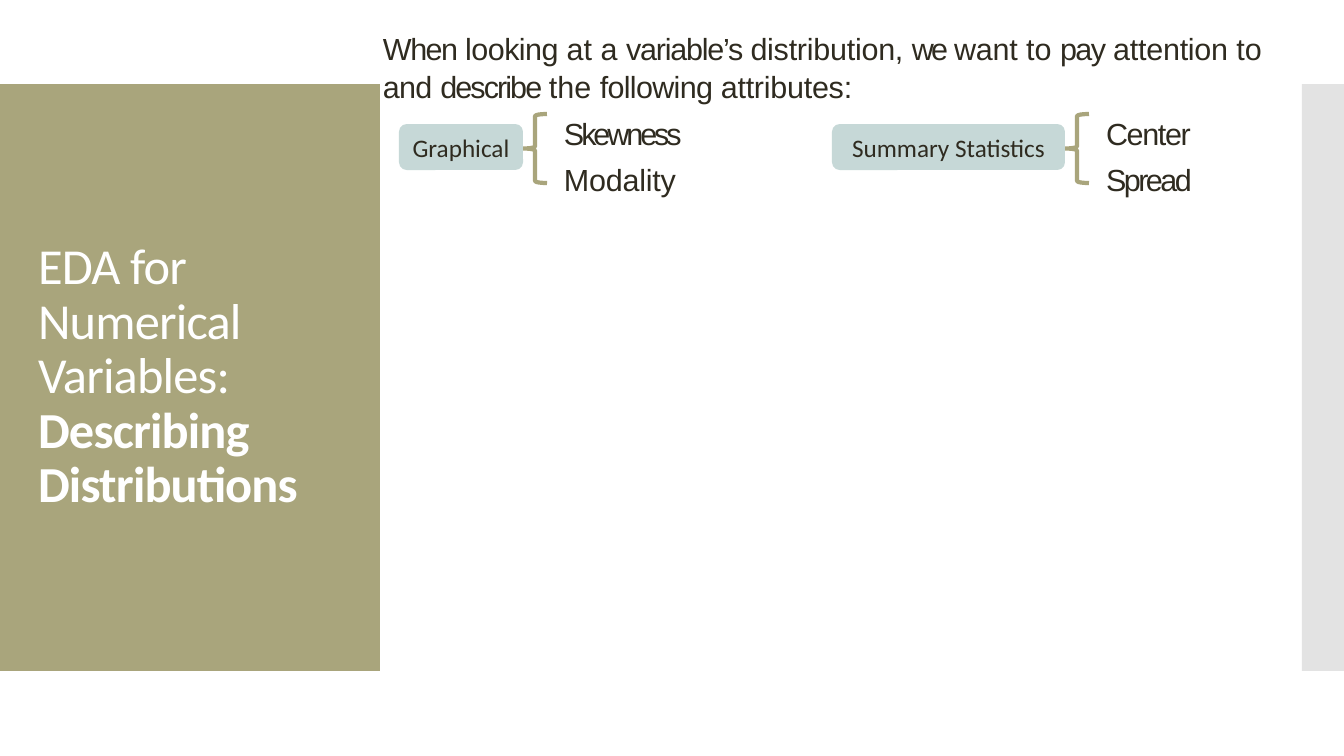
from pptx import Presentation
from pptx import util as u
from pptx.dml.color import RGBColor
from pptx.enum import shapes, text
from lxml import etree

PX = 914400 / 100.8
OLIVE = RGBColor(0xA9, 0xA5, 0x7C)
GREY = RGBColor(0xC8, 0xC8, 0xC8)
TEAL = RGBColor(0xC6, 0xD8, 0xD7)
INK = RGBColor(0x2F, 0x2B, 0x20)
WHITE = RGBColor(0xFF, 0xFF, 0xFF)

# Text runs are (wording, letter spacing in points).
TITLE = [("EDA for Numerical Variables: ", -0.6)]
TITLE_BOLD = [("Describing Distributions", -0.6)]
INTRO = [
    ("When ", -1.1), ("looking ", -0.4), ("at a ", 0), ("variable’s ", -0.9),
    ("distribution, ", -0.2), ("we ", -1.9), ("want ", -0.2), ("to ", 0),
    ("pay ", -1.1), ("attention ", -0.2), ("to ", 0), ("and ", -0.5),
    ("describe ", -1.4), ("the ", 0), ("following ", -0.5), ("attributes:", -0.2),
]
# Label, label left, label width, attribute runs, attribute width
GROUPS = [
    ("Graphical", 399, 124, [("Skewness", -2.2), (" Modality", -0.2)], 123),
    ("Summary Statistics", 832, 233, [("Center ", -1), ("Spread", -1.8)], 91),
]
LABEL_TOP, LABEL_H = 124, 46
BRACE_TOP, BRACE_W, BRACE_H = 114, 24, 69
LIST_TOP, LIST_H, LIST_OFFSET = 103, 91, 38


def px(*lengths):
    return [round(n * PX) for n in lengths]


def add_runs(p, runs, size, font, color, bold=False):
    for wording, spacing in runs:
        r = p.add_run()
        r.text = wording
        r.font.size = u.Pt(size)
        r.font.name = font
        r.font.bold = bold
        r.font.color.rgb = color
        if spacing:
            r.font._element.set("spc", str(round(spacing * 100)))


def add_shape(s, kind, box, fill=None, line=None):
    sp = s.shapes.add_shape(kind, *px(*box))
    sp.shadow.inherit = False
    if fill is None:
        sp.fill.background()
    else:
        sp.fill.solid()
        sp.fill.fore_color.rgb = fill
    if line is None:
        sp.line.fill.background()
    else:
        sp.line.color.rgb = line
        sp.line.width = u.Pt(3)
    return sp


def add_body(s, box, runs, line_spacing, space_before, top_inset):
    tf = s.shapes.add_textbox(*px(*box)).text_frame
    tf.word_wrap = True
    tf.auto_size = text.MSO_AUTO_SIZE.SHAPE_TO_FIT_TEXT
    tf.margin_left, tf.margin_top, tf.margin_right, tf.margin_bottom = px(3, top_inset, 0, 0)
    p = tf.paragraphs[0]
    p.line_spacing = line_spacing
    p.space_before = u.Pt(space_before)
    add_runs(p, runs, 21.8, "Arial", INK)


def add_panels(s):
    add_shape(s, shapes.MSO_SHAPE.RECTANGLE, (0, 84, 380, 587), OLIVE)
    strip = add_shape(s, shapes.MSO_SHAPE.RECTANGLE, (1302, 84, 42, 587), GREY)
    color = strip.element.find(".//{*}solidFill/{*}srgbClr")
    etree.SubElement(color, color.tag.replace("srgbClr", "alpha"), val="50000")
    return strip


def add_title(s, panel):
    """Fill the title placeholder and raise it above the panels."""
    title = s.shapes.title
    panel.element.addnext(title.element)
    title.left, title.top, title.width, title.height = px(28, 124, 325, 507)
    tf = title.text_frame
    tf.word_wrap = True
    tf.auto_size = text.MSO_AUTO_SIZE.NONE
    tf.vertical_anchor = text.MSO_ANCHOR.MIDDLE
    p = tf.paragraphs[0]
    p.alignment = text.PP_ALIGN.LEFT
    p.line_spacing = 0.9
    add_runs(p, TITLE, 36, "Calibri", WHITE)
    add_runs(p, TITLE_BOLD, 36, "Calibri", WHITE, bold=True)


def add_group(s, label, left, width, attributes, list_width):
    right = left + width
    add_body(s, (right + LIST_OFFSET, LIST_TOP, list_width, LIST_H), attributes, 1.25, 2, 3)
    add_shape(s, shapes.MSO_SHAPE.LEFT_BRACE,
              (right, BRACE_TOP, BRACE_W, BRACE_H), line=OLIVE)
    sp = add_shape(s, shapes.MSO_SHAPE.ROUNDED_RECTANGLE,
                   (left, LABEL_TOP, width, LABEL_H), TEAL)
    tf = sp.text_frame
    tf.vertical_anchor = text.MSO_ANCHOR.MIDDLE
    p = tf.paragraphs[0]
    p.alignment = text.PP_ALIGN.CENTER
    add_runs(p, [(label, 0)], 18, "Calibri", INK)


def main():
    prs = Presentation()
    prs.slide_width, prs.slide_height = px(1344, 756)
    s = prs.slides.add_slide(prs.slide_layouts[5])
    add_title(s, add_panels(s))
    add_body(s, (380, 27, 936, 76), INTRO, 1.03, 1.1, 2)
    for group in GROUPS:
        add_group(s, *group)
    prs.save("out.pptx")


if __name__ == "__main__":
    main()
